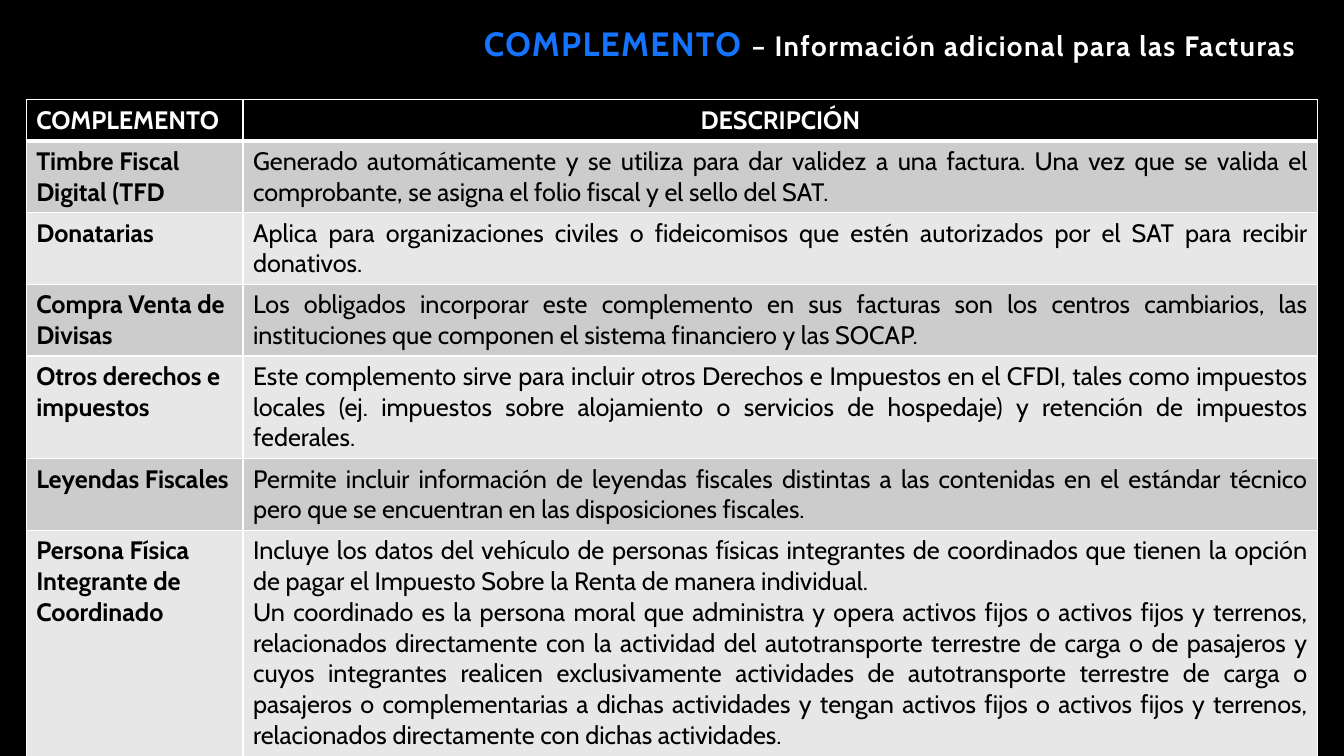
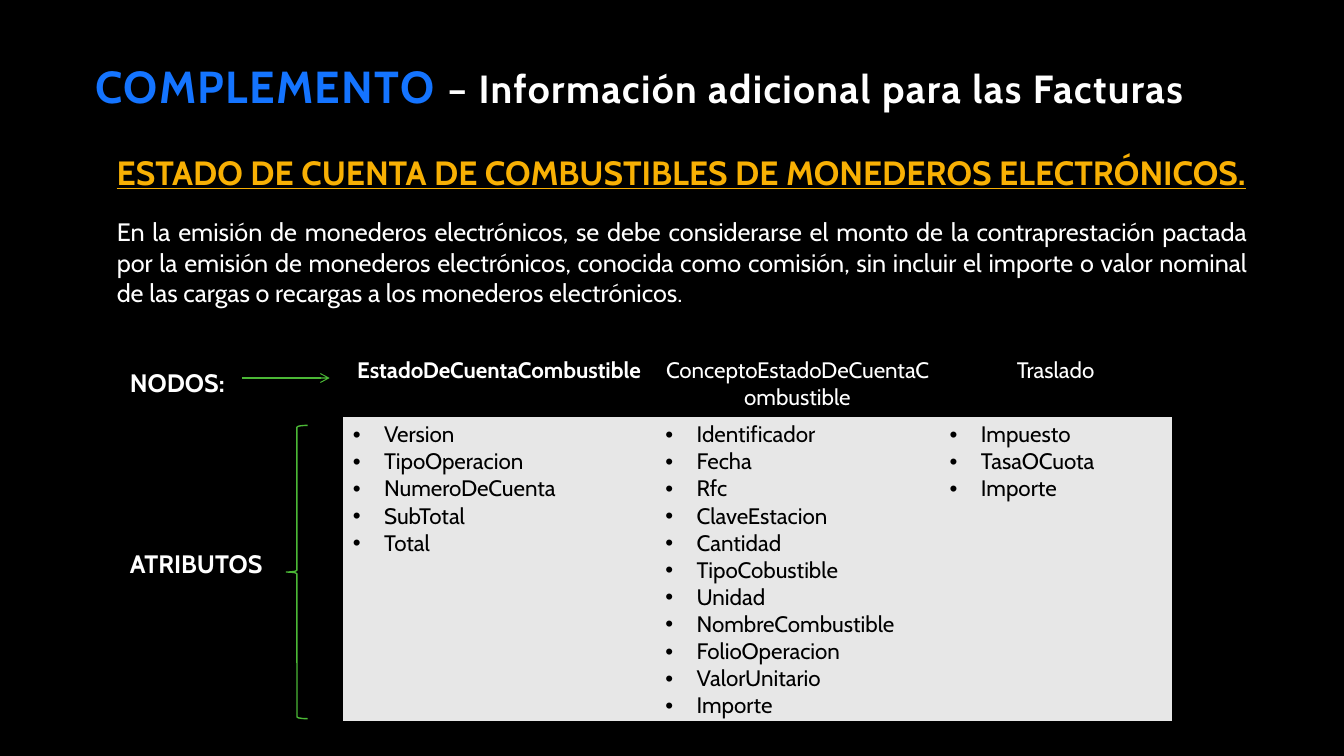
from lxml.etree import SubElement
from pptx import Presentation
from pptx.dml.color import RGBColor
from pptx.enum.shapes import MSO_CONNECTOR, MSO_SHAPE
from pptx.enum.text import MSO_ANCHOR, PP_ALIGN
from pptx.oxml import parse_xml
from pptx.oxml.ns import nsdecls, qn
from pptx.util import Inches, Pt

COLORS = {
    "black": "000000", "white": "FFFFFF", "blue": "1474FF", "gold": "F8B004",
    "green": "4BB836", "dark_row": "CCCCCC", "light_row": "E7E7E7",
}
FONT = "Cabin"
PLAIN_TABLE_STYLE = "{2D5ABB26-0587-4C30-8999-92F81FD0307C}"
INDENT = Inches(0.31)

COMPLEMENTS = [
    ("Timbre Fiscal Digital (TFD", [
        "Generado automáticamente y se utiliza para dar validez a una factura. Una vez que se "
        "valida el comprobante, se asigna el folio fiscal y el sello del SAT."], 0.71),
    ("Donatarias", [
        "Aplica para organizaciones civiles o fideicomisos que estén autorizados por el SAT para "
        "recibir donativos."], 0.71),
    ("Compra Venta de Divisas", [
        "Los obligados incorporar este complemento en sus facturas son los centros cambiarios, "
        "las instituciones que componen el sistema financiero y las SOCAP."], 0.71),
    ("Otros derechos e impuestos", [
        "Este complemento sirve para incluir otros Derechos e Impuestos en el CFDI, tales como "
        "impuestos locales (ej. impuestos sobre alojamiento o servicios de hospedaje) y "
        "retención de impuestos federales."], 1.02),
    ("Leyendas Fiscales", [
        "Permite incluir información de leyendas fiscales distintas a las contenidas en el "
        "estándar técnico pero que se encuentran en las disposiciones fiscales."], 0.71),
    ("Persona Física Integrante de Coordinado", [
        "Incluye los datos del vehículo de personas físicas integrantes de coordinados que "
        "tienen la opción de pagar el Impuesto Sobre la Renta de manera individual.",
        "Un coordinado es la persona moral que administra y opera activos fijos o activos fijos "
        "y terrenos, relacionados directamente con la actividad del autotransporte terrestre de "
        "carga o de pasajeros y cuyos integrantes realicen exclusivamente actividades de "
        "autotransporte terrestre de carga o pasajeros o complementarias a dichas actividades y "
        "tengan activos fijos o activos fijos y terrenos, relacionados directamente con dichas "
        "actividades."], 2.24),
]

NODES = [
    ("EstadoDeCuentaCombustible",
     ["Version", "TipoOperacion", "NumeroDeCuenta", "SubTotal", "Total"]),
    ("ConceptoEstadoDeCuentaCombustible",
     ["Identificador", "Fecha", "Rfc", "ClaveEstacion", "Cantidad", "TipoCobustible", "Unidad",
      "NombreCombustible", "FolioOperacion", "ValorUnitario", "Importe"]),
    ("Traslado", ["Impuesto", "TasaOCuota", "Importe"]),
]

FUEL_TEXT = (
    "En la emisión de monederos electrónicos, se debe considerarse el monto de la "
    "contraprestación pactada por la emisión de monederos electrónicos, conocida como comisión, "
    "sin incluir el importe o valor nominal de las cargas o recargas a los monederos electrónicos."
)


def color(name):
    return RGBColor.from_string(COLORS[name])


def add_span(para, text, ink="white", spacing=None, **values):
    span = para.add_run()
    span.text = text
    for name, value in {"name": FONT, "size": Pt(18), "bold": False, **values}.items():
        setattr(span.font, name, value)
    span.font.color.rgb = color(ink)
    if spacing:
        span._r.get_or_add_rPr().set("spc", str(spacing))


def add_bullet(para):
    props = para._p.get_or_add_pPr()
    props.set("marL", str(INDENT))
    props.set("indent", str(-INDENT))
    SubElement(props, qn("a:buFont"), typeface="Arial")
    SubElement(props, qn("a:buChar"), char="•")


def write(frame, texts, align=PP_ALIGN.LEFT, bullets=False, line_spacing=None, **values):
    """Write one paragraph for each text into a new frame."""
    for index, text in enumerate(texts):
        para = frame.add_paragraph() if index else frame.paragraphs[0]
        para.alignment = align
        if line_spacing:
            para.line_spacing = line_spacing
        if bullets:
            add_bullet(para)
        add_span(para, text, **values)


def add_frame(page, left, top, width, height):
    box = page.shapes.add_textbox(Inches(left), Inches(top), Inches(width), Inches(height))
    box.text_frame.word_wrap = True
    return box.text_frame


def add_page(deck):
    page = deck.slides.add_slide(deck.slide_layouts[6])
    page.background.fill.solid()
    page.background.fill.fore_color.rgb = color("black")
    return page


def add_title(page, left, top, width, height, size):
    """Place the shared two-colour title; its second part is 4 points smaller."""
    frame = add_frame(page, left, top, width, height)
    frame.vertical_anchor = MSO_ANCHOR.BOTTOM
    para = frame.paragraphs[0]
    para.line_spacing = 0.9
    add_span(para, "COMPLEMENTO ", "blue", spacing=100, size=Pt(size), bold=True)
    add_span(para, "– Información adicional para las Facturas", spacing=100,
             size=Pt(size - 4), bold=True)


def add_grid(page, left, top, widths, heights):
    shape = page.shapes.add_table(
        len(heights), len(widths), Inches(left), Inches(top),
        Inches(sum(widths)), Inches(sum(heights)))
    table = shape.table
    table._tbl.tblPr.find(qn("a:tableStyleId")).text = PLAIN_TABLE_STYLE
    table.horz_banding = False
    for column, width in zip(table.columns, widths):
        column.width = Inches(width)
    for row, height in zip(table.rows, heights):
        row.height = Inches(height)
    return table


def style_cell(cell, fill, line, edges):
    """Fill a cell and draw edges, a dict of side (L, R, T, B in this order) to points."""
    cell.fill.solid()
    cell.fill.fore_color.rgb = color(fill)
    props = cell._tc.get_or_add_tcPr()
    for index, (side, points) in enumerate(edges.items()):
        props.insert(index, parse_xml(
            f'<a:ln{side} {nsdecls("a")} w="{Pt(points)}"><a:solidFill>'
            f'<a:srgbClr val="{COLORS[line]}"/></a:solidFill></a:ln{side}>'))


def add_complement_table(page, left, top):
    heights = [0.41] + [height for _, _, height in COMPLEMENTS]
    table = add_grid(page, left, top, [2.15, 10.66], heights)
    headings = [("COMPLEMENTO", PP_ALIGN.LEFT), ("DESCRIPCIÓN", PP_ALIGN.CENTER)]
    for column, (heading, align) in enumerate(headings):
        cell = table.cell(0, column)
        style_cell(cell, "black", "white", {"L": 1, "R": 1, "T": 1, "B": 3})
        write(cell.text_frame, [heading], align, bold=True)
    for row, (name, description, _) in enumerate(COMPLEMENTS, 1):
        fill = "dark_row" if row % 2 else "light_row"
        for column in range(2):
            style_cell(table.cell(row, column), fill, "white", {"L": 1, "R": 1, "B": 1})
        write(table.cell(row, 0).text_frame, [name], ink="black", bold=True)
        write(table.cell(row, 1).text_frame, description, PP_ALIGN.JUSTIFY, ink="black")


def add_node_table(page, left, top):
    table = add_grid(page, left, top, [3.1, 2.82, 2.3], [0.64, 3.02])
    for column, (node, attributes) in enumerate(NODES):
        head, body = table.cell(0, column), table.cell(1, column)
        for cell, fill in ((head, "black"), (body, "light_row")):
            style_cell(cell, fill, "black", {"T": 1, "B": 1})
        write(head.text_frame, [node], PP_ALIGN.CENTER, size=Pt(16), bold=column == 0)
        write(body.text_frame, attributes, bullets=True, ink="black", size=Pt(16))


def add_node_labels(page, left, top):
    """Place the two row labels with the arrow and the brace beside them."""
    for label, offset in (("NODOS:", 0), ("ATRIBUTOS", 1.8)):
        write(add_frame(page, left, top + offset, 1.6, 0.4), [label], bold=True)

    arrow_y = Inches(top + 0.16)
    arrow = page.shapes.add_connector(
        MSO_CONNECTOR.STRAIGHT, Inches(left + 1.21), arrow_y, Inches(left + 2.08), arrow_y)
    arrow.line.color.rgb = color("green")
    arrow.line.width = Pt(0.75)
    SubElement(arrow.line._get_or_add_ln(), qn("a:tailEnd"), type="arrow")
    SubElement(arrow._element.spPr, qn("a:effectLst"))

    brace = page.shapes.add_shape(
        MSO_SHAPE.LEFT_BRACE, Inches(left + 1.65), Inches(top + 0.63), Inches(0.21), Inches(2.91))
    brace.shadow.inherit = False
    brace.fill.background()
    brace.line.color.rgb = color("green")
    brace.line.width = Pt(1)


def build_complements_page(deck):
    page = add_page(deck)
    add_complement_table(page, 0.26, 0.99)
    add_title(page, 4.7, 0, 8.37, 0.68, 24)


def build_fuel_page(deck):
    page = add_page(deck)
    add_title(page, 0.85, 0.2, 11.42, 0.97, 32)
    write(add_frame(page, 1.06, 1.5, 11.6, 0.5),
          ["ESTADO DE CUENTA DE COMBUSTIBLES DE MONEDEROS ELECTRÓNICOS."],
          line_spacing=0.9, ink="gold", size=Pt(24), bold=True, underline=True)
    write(add_frame(page, 1.06, 2.1, 11.41, 1.01), [FUEL_TEXT], PP_ALIGN.JUSTIFY)
    add_node_table(page, 3.4, 3.49)
    add_node_labels(page, 1.19, 3.59)


def main():
    deck = Presentation()
    deck.slide_width, deck.slide_height = Inches(13.33), Inches(7.5)
    build_complements_page(deck)
    build_fuel_page(deck)
    deck.save("out.pptx")


if __name__ == "__main__":
    main()
